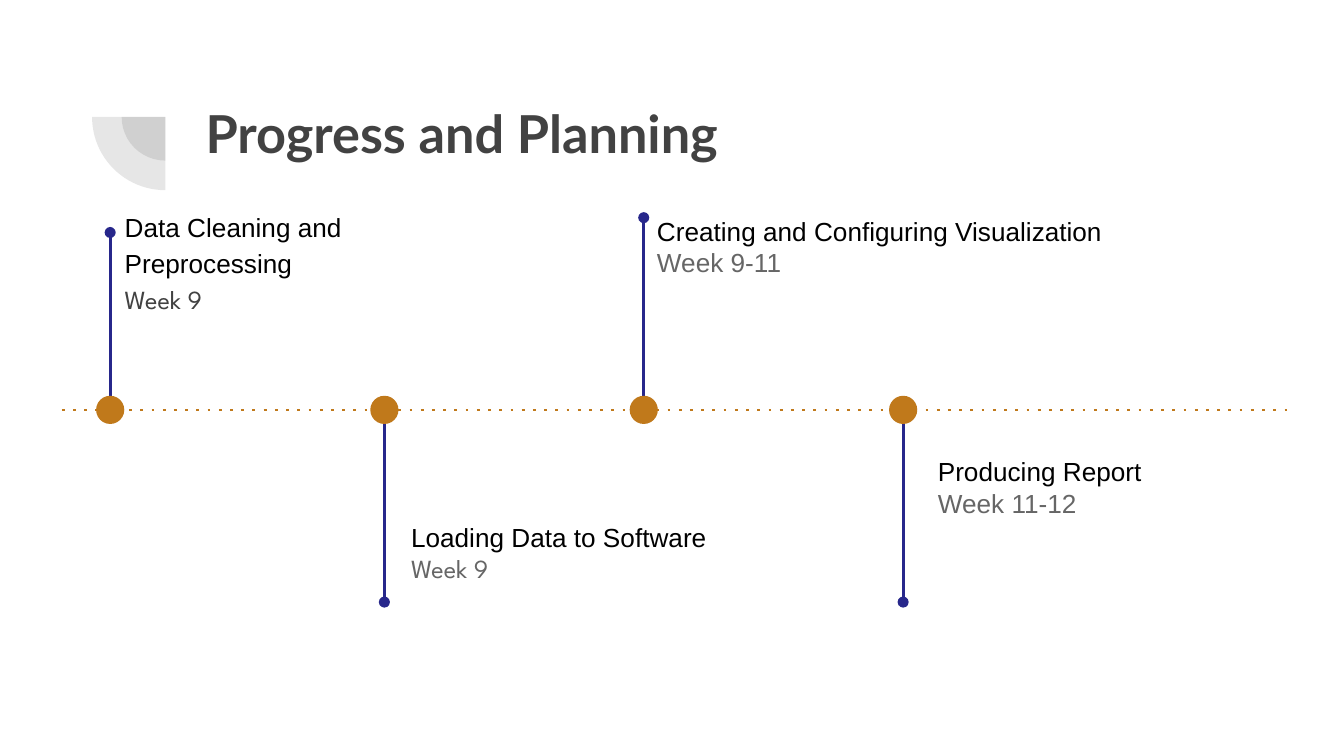
from lxml import etree
from pptx import Presentation
from pptx.dml.color import RGBColor
from pptx.enum.dml import MSO_LINE
from pptx.enum.shapes import MSO_CONNECTOR, MSO_SHAPE
from pptx.enum.text import MSO_ANCHOR, PP_ALIGN
from pptx.oxml.ns import qn
from pptx.util import Inches, Pt

CHARCOAL = RGBColor(0x42, 0x42, 0x42)
GREY = RGBColor(0x66, 0x66, 0x66)
BLACK = RGBColor(0, 0, 0)
OCHRE = RGBColor(0xC0, 0x79, 0x1B)
NAVY = RGBColor(0x27, 0x27, 0x8B)

TITLE = "Progress and Planning"
AXIS_Y, AXIS_LEFT, AXIS_RIGHT = 3.05, 0.46, 9.58
DOT = 0.21
PIE_CENTRE, PIE_SIZES, PIE_OPACITY = (1.23, 0.87), (0.65, 1.09), 13

# x on the axis, end of the stem, text box, wording and format of the week
MILESTONES = [
    dict(x=0.82, end=1.73, box=(0.83, 1.44, 2.57, 1.23), spacing=1.15,
         task="Data Cleaning and Preprocessing", week="Week 9",
         font="League Spartan", color=CHARCOAL),
    dict(x=2.86, end=4.48, box=(2.96, 3.78, 2.81, 1.48), spacing=1,
         task="Loading Data to Software", week="Week 9",
         font="League Spartan", color=GREY),
    dict(x=4.79, end=1.62, box=(4.79, 1.5, 3.86, 1.32), spacing=1,
         task="Creating and Configuring Visualization", week="Week 9-11",
         font="Arial", color=GREY),
    dict(x=6.72, end=4.48, box=(6.88, 3.29, 3, 0.67), spacing=1,
         task="Producing Report", week="Week 11-12",
         font="Arial", color=GREY),
]


def add_centred(s, preset, x, y, size, color):
    sp = s.shapes.add_shape(preset, Inches(x - size / 2), Inches(y - size / 2),
                            Inches(size), Inches(size))
    sp.shadow.inherit = False
    sp.fill.solid()
    sp.fill.fore_color.rgb = color
    sp.line.fill.background()
    return sp


def add_line(s, x1, y1, x2, y2, color):
    line = s.shapes.add_connector(MSO_CONNECTOR.STRAIGHT, Inches(x1), Inches(y1),
                                  Inches(x2), Inches(y2))
    line.line.color.rgb = color
    line.line.width = Pt(1.5)
    etree.SubElement(line._element.spPr, qn("a:effectLst"))
    return line


def write(p, text, size, font, color, bold=False):
    r = p.add_run()
    r.text = text
    for name, value in dict(size=Pt(size), name=font, bold=bold).items():
        setattr(r.font, name, value)
    r.font.color.rgb = color


def set_frame(tf):
    frame = dict(word_wrap=True, vertical_anchor=MSO_ANCHOR.TOP)
    for side in ("left", "top", "right", "bottom"):
        frame["margin_" + side] = Inches(0.1)
    for name, value in frame.items():
        setattr(tf, name, value)


def place(sp, box):
    sp.left, sp.top, sp.width, sp.height = map(Inches, box)


def add_title(s):
    title = s.shapes.title
    place(title, (1.43, 0.65, 6.06, 0.8))
    set_frame(title.text_frame)
    p = title.text_frame.paragraphs[0]
    p.alignment = PP_ALIGN.LEFT
    write(p, TITLE, 28, "Lato", CHARCOAL, bold=True)


def add_quarter_circles(s):
    for size in PIE_SIZES:
        pie = add_centred(s, MSO_SHAPE.PIE, *PIE_CENTRE, size, CHARCOAL)
        # 90 to 180 degrees, in units of 100000/60000 degree
        pie.adjustments[0], pie.adjustments[1] = 54, 108
        clr = pie._element.spPr.find(qn("a:solidFill"))[0]
        etree.SubElement(clr, qn("a:alpha"), val=str(PIE_OPACITY * 1000))


def add_axis(s):
    axis = add_line(s, AXIS_LEFT, AXIS_Y, AXIS_RIGHT, AXIS_Y, OCHRE)
    axis.line.dash_style = MSO_LINE.ROUND_DOT
    axis._element.spPr.find(qn("a:ln")).find(qn("a:prstDash")).set("val", "dot")


def add_milestone(s, m):
    side = 1 if m["end"] > AXIS_Y else -1
    stem = add_line(s, m["x"], AXIS_Y + side * DOT / 2, m["x"], m["end"], NAVY)
    etree.SubElement(stem._element.spPr.find(qn("a:ln")), qn("a:tailEnd"), type="oval")
    add_centred(s, MSO_SHAPE.OVAL, m["x"], AXIS_Y, DOT, OCHRE)

    tf = s.shapes.add_textbox(*map(Inches, m["box"])).text_frame
    set_frame(tf)
    paragraphs = [tf.paragraphs[0], tf.add_paragraph()]
    for p in paragraphs:
        p.line_spacing = m["spacing"]
    write(paragraphs[0], m["task"], 14, "Arial", BLACK)
    write(paragraphs[1], m["week"], 14, m["font"], m["color"])


def main():
    prs = Presentation()
    prs.slide_width = Inches(10)
    prs.slide_height = Inches(10 * 9 / 16)
    s = prs.slides.add_slide(prs.slide_layouts[5])
    add_quarter_circles(s)
    add_title(s)
    add_axis(s)
    for m in MILESTONES:
        add_milestone(s, m)
    prs.save("out.pptx")


if __name__ == "__main__":
    main()
